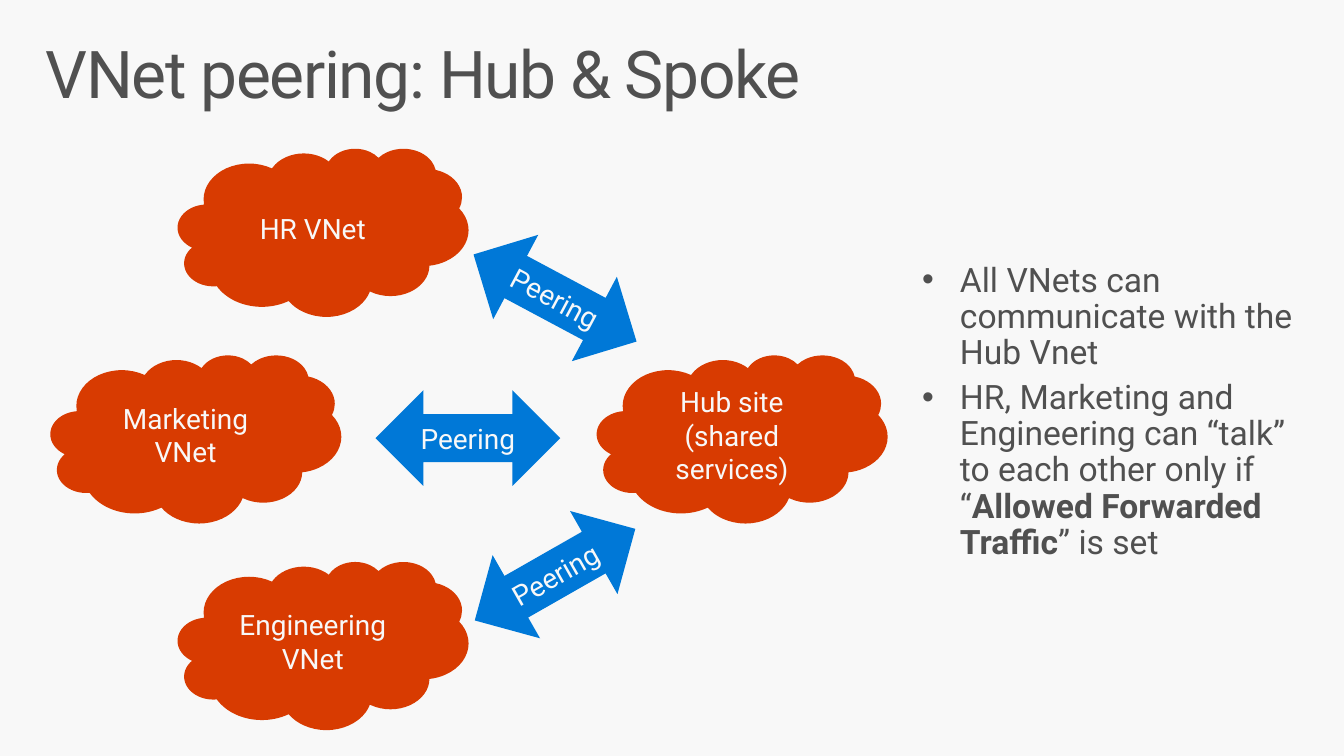
import pptx
import pptx.dml.color
import pptx.enum.shapes
import pptx.enum.text
import pptx.oxml.ns
import pptx.util
from lxml import etree

Cm = pptx.util.Cm
Pt = pptx.util.Pt
SHAPE = pptx.enum.shapes.MSO_SHAPE
ALIGN = pptx.enum.text.PP_ALIGN
ANCHOR = pptx.enum.text.MSO_ANCHOR
FIT = pptx.enum.text.MSO_AUTO_SIZE

COLORS = {"back": "F8F8F8", "text": "505050", "cloud": "D83B01", "arrow": "0078D7"}

CLOUD_SIZE = (7.47, 4.32)
ARROW_SIZE = (4.75, 2.46)
ROWS = (3.81, 9.12, 14.43)
CLOUDS = [
    (4.57, ROWS[0], ["HR VNet"]),
    (1.3, ROWS[1], ["Marketing VNet"]),
    (15.34, ROWS[1], ["Hub site", "(shared services)"]),
    (4.57, ROWS[2], ["Engineering", "VNet"]),
]
ARROWS = [(11.89, 6.43, 28.1), (9.65, 10.03, 0), (11.89, 13.54, 330.3)]
POINTS = [
    [("All VNets can communicate with the Hub Vnet", False)],
    [
        ("HR, Marketing and Engineering can “talk” to each other only if “", False),
        ("Allowed Forwarded Traffic", True),
        ("” is set", False),
    ],
]


def tint(name):
    return pptx.dml.color.RGBColor.from_string(COLORS[name])


class Deck:
    """Holds the text style and the current slide."""

    font = "Roboto"

    def __init__(self, width, height):
        self.show = pptx.Presentation()
        self.show.slide_width, self.show.slide_height = Cm(width), Cm(height)
        self.slide = self.show.slides.add_slide(self.show.slide_layouts[1])
        fill = self.slide.background.fill
        fill.solid()
        fill.fore_color.rgb = tint("back")

    def run(self, para, text, size, color, bold=False):
        run = para.add_run()
        run.text = text
        run.font.name = self.font
        run.font.size = Pt(size)
        run.font.bold = bold
        run.font.color.rgb = tint(color)
        return run

    def frame(self, shape, side, edge, anchor, fit=FIT.NONE):
        """Set up the text frame with side and top/bottom margins."""
        frame = shape.text_frame
        frame.word_wrap = True
        frame.auto_size = fit
        frame.vertical_anchor = anchor
        frame.margin_left = frame.margin_right = Cm(side)
        frame.margin_top = frame.margin_bottom = Cm(edge)
        return frame

    def place(self, shape, left, top, width, height):
        shape.left, shape.top = Cm(left), Cm(top)
        shape.width, shape.height = Cm(width), Cm(height)

    def lines(self, frame, count):
        """Yield the given number of paragraphs, the first one reused."""
        for index in range(count):
            yield frame.add_paragraph() if index else frame.paragraphs[0]

    def title(self, text, box):
        shape = self.slide.shapes.title
        self.place(shape, *box)
        para = self.frame(shape, 0.41, 0.25, ANCHOR.TOP).paragraphs[0]
        para.alignment = ALIGN.LEFT
        para.line_spacing = 0.9
        run = self.run(para, text, 48, "text")
        run.font._element.set("spc", "-100")

    def list(self, points, box):
        shape = self.slide.placeholders[1]
        self.place(shape, *box)
        frame = self.frame(shape, 0.51, 0.41, ANCHOR.TOP, FIT.SHAPE_TO_FIT_TEXT)
        for para, parts in zip(self.lines(frame, len(points)), points):
            para.line_spacing = 0.9
            para.space_before = Pt(0)
            para.space_after = Pt(6.1)
            props = para._p.get_or_add_pPr()
            props.set("marL", str(Cm(0.97)))
            props.set("indent", str(Cm(-0.97)))
            qn = pptx.oxml.ns.qn
            etree.SubElement(props, qn("a:buFont"), typeface="Arial")
            etree.SubElement(props, qn("a:buChar"), char="•")
            for text, bold in parts:
                self.run(para, text, 24.5, "text", bold)

    def shape(self, kind, color, box, texts, angle=0):
        shape = self.slide.shapes.add_shape(kind, *map(Cm, box))
        shape.rotation = angle
        shape.shadow.inherit = False
        shape.fill.solid()
        shape.fill.fore_color.rgb = tint(color)
        shape.line.fill.background()
        frame = self.frame(shape, 0, 0.13, ANCHOR.MIDDLE)
        for para, text in zip(self.lines(frame, len(texts)), texts):
            para.alignment = ALIGN.CENTER
            self.run(para, text, 20.4, "back")

    def cloud(self, left, top, texts):
        self.shape(SHAPE.CLOUD, "cloud", (left, top, *CLOUD_SIZE), texts)

    def arrow(self, left, top, angle):
        box = (left, top, *ARROW_SIZE)
        self.shape(SHAPE.LEFT_RIGHT_ARROW, "arrow", box, ["Peering"], angle)


def main():
    deck = Deck(34.54, 19.43)
    deck.title("VNet peering: Hub & Spoke", (0.76, 0.81, 33.02, 2.54))
    for cloud in CLOUDS:
        deck.cloud(*cloud)
    for arrow in ARROWS:
        deck.arrow(*arrow)
    deck.list(POINTS, (23.19, 6.35, 10.59, 8.59))
    deck.show.save("out.pptx")


if __name__ == "__main__":
    main()
